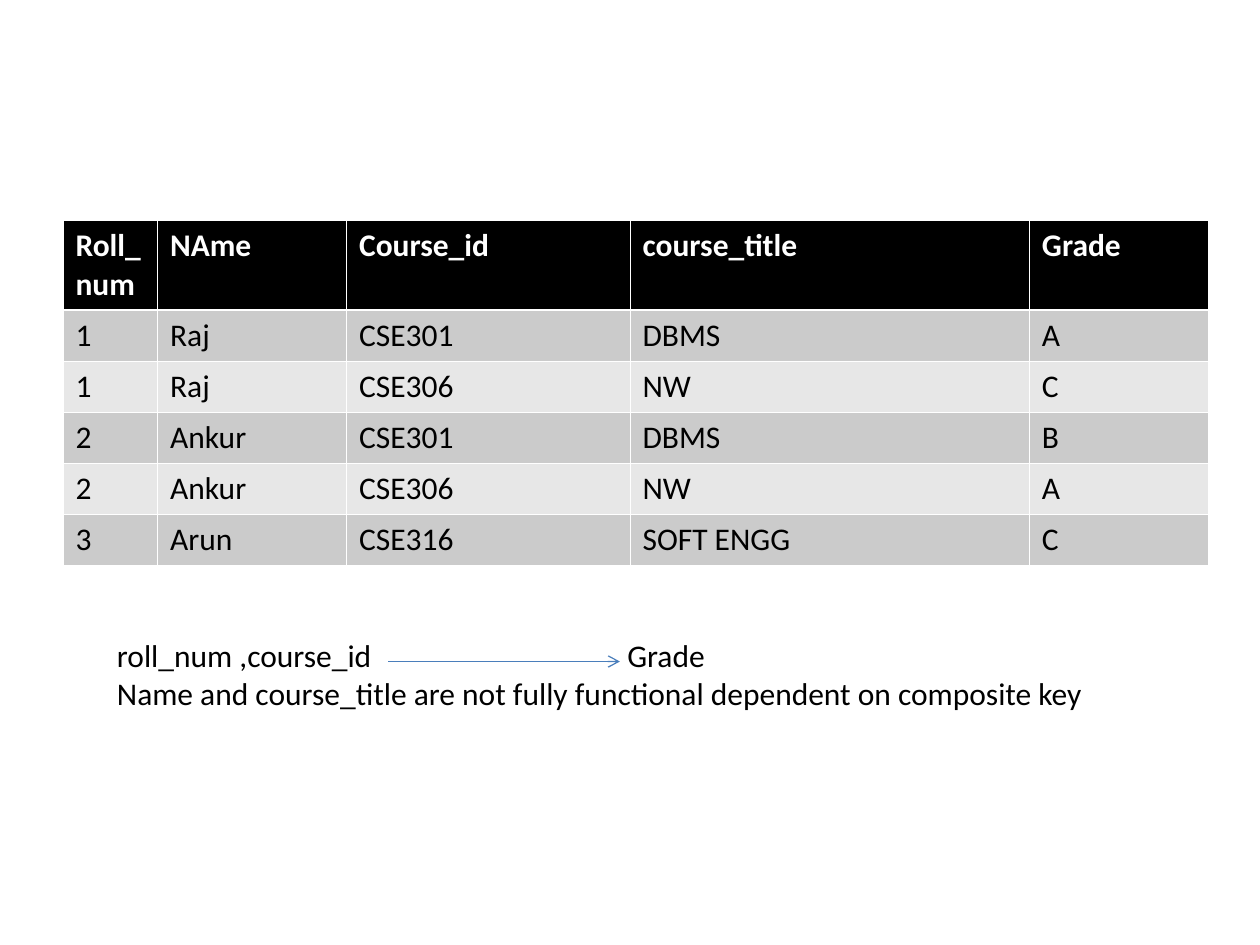
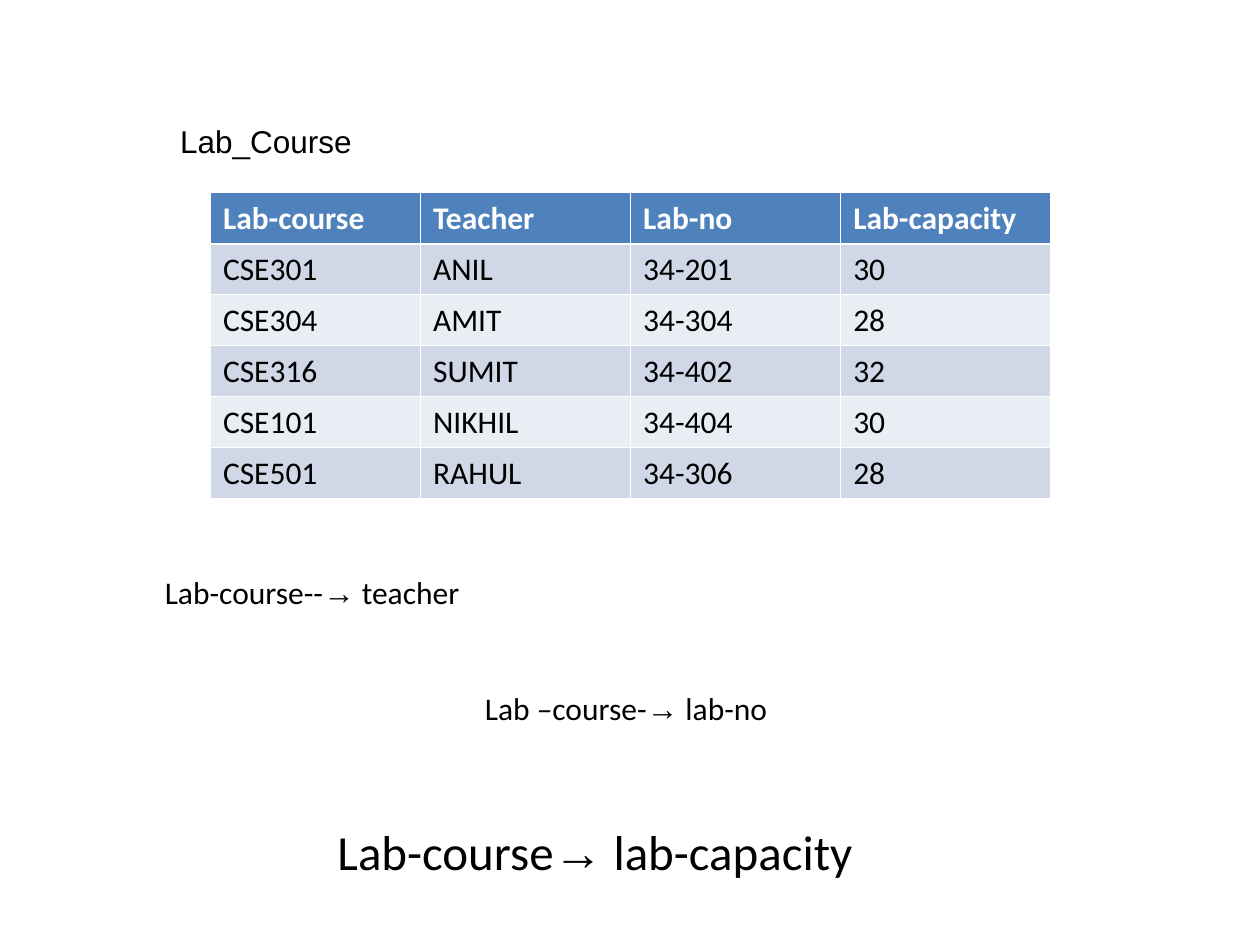
from lxml import etree
from pptx import Presentation, util as u
from pptx.dml.color import RGBColor
from pptx.enum import shapes, text
from pptx.oxml.ns import qn

COLORS = {"ink": "000000", "paper": "FFFFFF", "arrow": "4A7EBB"}
# Table schemes: header, odd row, even row
GREY = ("000000", "CBCBCB", "E7E7E7")
BLUE = ("4F81BD", "D0D8E8", "E9EDF4")
FONT, ARROW_FONT = "Calibri", "Arial"
HAIR, RULE = 0.45, 1.47  # table border widths in points

GRADES = [
    ("Roll_num", "NAme", "Course_id", "course_title", "Grade"),
    ("1", "Raj", "CSE301", "DBMS", "A"),
    ("1", "Raj", "CSE306", "NW", "C"),
    ("2", "Ankur", "CSE301", "DBMS", "B"),
    ("2", "Ankur", "CSE306", "NW", "A"),
    ("3", "Arun", "CSE316", "SOFT ENGG", "C"),
]
LABS = [
    ("Lab-course", "Teacher", "Lab-no", "Lab-capacity"),
    ("CSE301", "ANIL", "34-201", "30"),
    ("CSE304", "AMIT", "34-304", "28"),
    ("CSE316", "SUMIT", "34-402", "32"),
    ("CSE101", "NIKHIL", "34-404", "30"),
    ("CSE501", "RAHUL", "34-306", "28"),
]


def add_text(p, content, size=18, font=FONT, color="ink", bold=False, tab=None):
    """Fill a paragraph; arrow characters get their own font."""
    p.alignment = text.PP_ALIGN.LEFT
    if tab:
        tabs = etree.SubElement(p._p.get_or_add_pPr(), qn("a:tabLst"))
        etree.SubElement(tabs, qn("a:tab"), pos=str(u.Inches(tab)), algn="l")
    before, arrow, after = content.partition("→")
    for part in filter(None, (before, arrow, after)):
        r = p.add_run()
        r.text = part
        r.font.name = ARROW_FONT if part == "→" else font
        r.font.size = u.Pt(size)
        r.font.bold = bold
        r.font.color.rgb = RGBColor.from_string(COLORS[color])


def add_box(s, box, lines, sp=None, wrap=True, **fmt):
    """Write lines in a new text box, or in the placeholder given."""
    x, y, w, h = map(u.Inches, box)
    if sp is None:
        sp = s.shapes.add_textbox(x, y, w, h)
    else:
        sp.left, sp.top, sp.width, sp.height = x, y, w, h
    tf = sp.text_frame
    tf.word_wrap = wrap
    tf.auto_size = text.MSO_AUTO_SIZE.SHAPE_TO_FIT_TEXT
    tf.vertical_anchor = text.MSO_ANCHOR.TOP
    for i, line in enumerate(lines):
        add_text(tf.add_paragraph() if i else tf.paragraphs[0], line, **fmt)


def set_borders(cell, widths):
    tc_pr = cell._tc.get_or_add_tcPr()
    for i, (side, width) in enumerate(widths.items()):
        ln = etree.Element(qn("a:ln" + side), w=str(u.Pt(width)))
        fill = etree.SubElement(ln, qn("a:solidFill"))
        etree.SubElement(fill, qn("a:srgbClr"), val=COLORS["paper"])
        tc_pr.insert(i, ln)


def add_banded_table(s, box, rows, scheme, col_widths=None, header_h=None):
    x, y, w, h = box
    n, m = len(rows), len(rows[0])
    header_h = header_h or h / n
    tbl = s.shapes.add_table(n, m, *map(u.Inches, box)).table
    tbl.horz_banding = False
    for col, width in zip(tbl.columns, col_widths or [w / m] * m):
        col.width = u.Inches(width)
    for i, row in enumerate(rows):
        tbl.rows[i].height = u.Inches((h - header_h) / (n - 1) if i else header_h)
        fill = scheme[2 - i % 2] if i else scheme[0]
        for j, value in enumerate(row):
            cell = tbl.cell(i, j)
            cell.fill.solid()
            cell.fill.fore_color.rgb = RGBColor.from_string(fill)
            set_borders(cell, {"L": HAIR, "R": HAIR,
                               "T": RULE if i == 1 else HAIR,
                               "B": HAIR if i else RULE})
            add_text(cell.text_frame.paragraphs[0], value,
                     color="ink" if i else "paper", bold=i == 0)


def add_arrow(s, x1, x2, y):
    cn = s.shapes.add_connector(shapes.MSO_CONNECTOR.STRAIGHT,
                                *map(u.Inches, (x1, y, x2, y)))
    cn.line.color.rgb = RGBColor.from_string(COLORS["arrow"])
    cn.line.width = u.Pt(0.75)
    etree.SubElement(cn.line._get_or_add_ln(), qn("a:tailEnd"), type="arrow")
    etree.SubElement(cn._element.spPr, qn("a:effectLst"))


def add_dependency_note(s, box):
    """Key, arrow and dependent column, with a remark below."""
    x, y, w, h = box
    add_box(s, box, ["roll_num ,course_id\tGrade",
                     "Name and course_title are not fully functional "
                     "dependent on composite key"], tab=4.05)
    add_arrow(s, x + 2.25, x + 4.09, y + 0.25)


def grades_slide(prs):
    s = prs.slides.add_slide(prs.slide_layouts[6])
    add_banded_table(s, (0.5, 1.75, 9.08, 2.73), GRADES, GREY,
                     col_widths=(0.75, 1.5, 2.25, 3.17, 1.42), header_h=0.7)
    add_dependency_note(s, (0.83, 5, 8.25, 0.7))


def labs_slide(prs):
    s = prs.slides.add_slide(prs.slide_layouts[5])
    add_box(s, (1.33, 0.92, 2.75, 0.4), ["Lab_Course"],
            sp=s.shapes.title, font="Arial")
    add_banded_table(s, (1.67, 1.53, 6.67, 2.43), LABS, BLUE)
    # Dependencies on the lab course
    add_box(s, (1.21, 4.5, 2.54, 0.4), ["Lab-course--→ teacher"], wrap=False)
    add_box(s, (3.75, 5.42, 2.44, 0.4), ["Lab –course-→ lab-no"], wrap=False)
    add_box(s, (2.58, 6.47, 7.25, 0.57), ["Lab-course→ lab-capacity"], size=28)


def main():
    prs = Presentation()
    prs.slide_width, prs.slide_height = u.Inches(10), u.Inches(7.5)
    grades_slide(prs)
    labs_slide(prs)
    prs.save("out.pptx")


if __name__ == "__main__":
    main()
